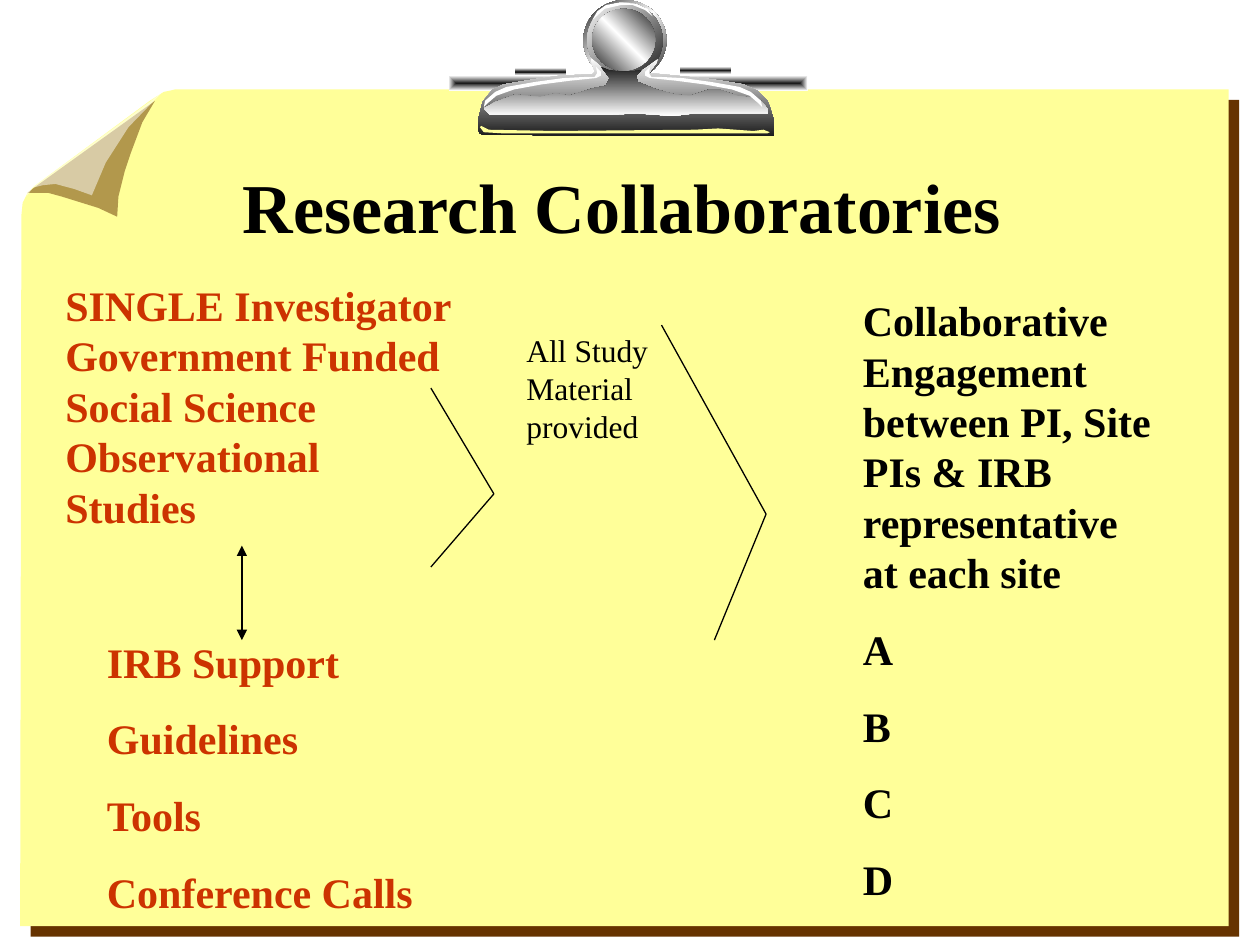
from dataclasses import dataclass

from lxml import etree
from pptx import Presentation
from pptx.dml.color import RGBColor
from pptx.enum.shapes import MSO_CONNECTOR, MSO_SHAPE
from pptx.enum.text import MSO_ANCHOR, PP_ALIGN
from pptx.oxml import parse_xml
from pptx.oxml.ns import nsdecls, qn
from pptx.util import Inches, Pt

LINE = MSO_CONNECTOR.STRAIGHT
RECT, OVAL = MSO_SHAPE.RECTANGLE, MSO_SHAPE.OVAL
TOP = MSO_ANCHOR.TOP
LEFT, MID = PP_ALIGN.LEFT, PP_ALIGN.CENTER


@dataclass(frozen=True)
class Theme:
    font: str = "Times New Roman"
    ink: str = "000000"
    red: str = "CC3300"
    paper: str = "FFFF99"
    brown: str = "663300"
    white: str = "FFFFFF"
    steel: str = "1C1C1C"
    title: int = 40
    body: int = 24
    note: int = 18
    rule: float = 0.75
    pitch: float = 1.2


T = Theme()
DOWN = (T.white, T.steel)
RISE = (T.steel, T.white)
BAND = (T.white, T.steel, T.white)
GLOW = (T.steel, T.white, T.steel)

SHEET = [(1.19, .01), (1.23, 0), (9.59, 0), (9.59, 6.64), (0, 6.64), (.01, 1),
         (.02, .9), (.06, .82), (.11, .77), (1.03, .09), (1.14, .02)]
CURL = [(.33, .85), (.62, .94), (.77, 1.01), (.78, .85), (.83, .65), (.88, .5),
        (.97, .26), (1.07, .09), (.11, .78), (.06, .82), (.22, .82)]
FOLD = [(.05, .85), (.07, .8), (.15, .74), (1.12, .03), (.86, .3), (.68, .58),
        (.57, .84), (.43, .79), (.28, .75), (.18, .76), (.1, .78)]
GLINT = [(1.62, .13), (1.58, .07), (1.49, .03), (1.36, .02), (1.25, .04), (1.18, .09),
         (1.14, .16), (1.24, .07), (1.37, .04), (1.46, .04), (1.56, .08)]
JAW = [(.25, 1.06), (.28, 1.07), (2.58, 1.08), (2.58, .95), (2.55, .85), (2.53, .8),
       (2.45, .72), (2.34, .67), (2.09, .63), (1.8, .6), (1.59, .58), (1.65, .5),
       (1.66, .47), (1.58, .53), (1.52, .57), (1.47, .59), (1.38, .59), (1.29, .58),
       (1.22, .54), (1.13, .46), (1.14, .51), (1.16, .57), (1.14, .59), (.89, .6),
       (.68, .63), (.44, .67), (.35, .71), (.27, .81), (.24, .93), (.23, 1.02)]
SHINE = [(.28, .85), (.29, .8), (.37, .73), (.46, .69), (.69, .65), (.91, .62),
         (1.1, .61), (1.16, .61), (1.18, .58), (1.17, .53), (1.21, .57), (1.21, .6),
         (1.17, .62), (.97, .64), (.74, .67), (.52, .71), (.38, .76), (.31, .82)]
FOOT = [(.26, 1), (.25, 1.01), (.28, 1.05), (.45, 1.06), (2.53, 1.06), (2.55, 1.05),
        (2.5, 1.03), (2.42, 1.04), (2.14, 1.02), (1.95, 1.03), (.84, 1.04), (.32, 1.03)]
SHADE = [(.45, .78), (.37, .81), (.28, .86), (.33, .91), (.58, .91), (1.28, .91),
         (1.5, .9), (1.78, .92), (1.95, .9), (2.54, .9), (2.53, .86), (2.48, .8),
         (2.44, .78), (2.29, .76), (2.15, .71), (2.07, .71), (1.92, .76), (1.8, .75),
         (1.65, .71), (1.5, .65), (1.49, .6), (1.53, .56), (1.4, .57), (1.28, .56),
         (1.21, .53), (1.28, .62), (1.25, .68), (1.15, .7), (.96, .76), (.85, .74),
         (.73, .77), (.53, .75)]


def paint(shape, fill, alpha=None):
    shape.shadow.inherit = False
    shape.line.fill.background()
    shape.fill.solid()
    shape.fill.fore_color.rgb = RGBColor.from_string(fill)
    if alpha:
        tint = shape._element.spPr.find(qn("a:solidFill"))[0]
        etree.SubElement(tint, qn("a:alpha"), val=str(alpha * 1000))


def blend(shape, tones, angle=None):
    paint(shape, tones[0])
    step = 100000 // (len(tones) - 1)
    stops = "".join(f'<a:gs pos="{i * step}"><a:srgbClr val="{tone}"/></a:gs>'
                    for i, tone in enumerate(tones))
    if angle is None:
        way = '<a:path path="rect"><a:fillToRect l="50000" t="50000" r="50000" b="50000"/></a:path>'
    else:
        way = f'<a:lin ang="{angle * 60000}" scaled="0"/>'
    grad = parse_xml(f'<a:gradFill {nsdecls("a")} rotWithShape="1">'
                     f"<a:gsLst>{stops}</a:gsLst>{way}</a:gradFill>")
    props = shape._element.spPr
    props.replace(props.find(qn("a:solidFill")), grad)


def trace(slide, box, points):
    left, top = box[:2]
    spots = [(Inches(left + x), Inches(top + y)) for x, y in points]
    pen = slide.shapes.build_freeform(*spots[0], scale=1.0)
    pen.add_line_segments(spots[1:], close=True)
    return pen.convert_to_shape()


def write(slide, box, text, size=T.body, color=T.ink, bold=True, align=LEFT, gap=0):
    frame = slide.shapes.add_textbox(*map(Inches, box)).text_frame
    frame.word_wrap = True
    frame.vertical_anchor = TOP
    for i, part in enumerate(text.split("\n")):
        para = frame.paragraphs[0] if i == 0 else frame.add_paragraph()
        para.text = part
        para.alignment = align
        para.line_spacing = Pt(size * T.pitch)
        para.space_before = Pt(gap if i else 0)
        font = para.font
        font.name, font.size, font.bold = T.font, Pt(size), bold
        font.color.rgb = RGBColor.from_string(color)


def draw(slide, start, end, heads=False):
    link = slide.shapes.add_connector(LINE, *map(Inches, (*start, *end)))
    link.line.width = Pt(T.rule)
    link.line.color.rgb = RGBColor.from_string(T.ink)
    props = link._element.spPr
    if heads:
        for tag in ("a:headEnd", "a:tailEnd"):
            etree.SubElement(props.find(qn("a:ln")), qn(tag), type="triangle")
    etree.SubElement(props, qn("a:effectLst"))


def add_paper(slide, box):
    sheet = trace(slide, box, SHEET)
    paint(sheet, T.paper)
    glow = sheet._element.spPr.find(qn("a:effectLst"))
    cast = etree.SubElement(glow, qn("a:outerShdw"), blurRad="0", dist=str(Pt(8.5)),
                            dir="2700000", algn="ctr", rotWithShape="0")
    etree.SubElement(cast, qn("a:srgbClr"), val=T.brown)
    paint(trace(slide, box, CURL), T.brown, alpha=50)
    paint(trace(slide, box, FOLD), T.white, alpha=50)


def add_clip(slide, box):
    left, top, wide = box[:3]

    def part(kind, x, y, w, h, tones, angle=None):
        spot = map(Inches, (left + x, top + y, w, h))
        blend(slide.shapes.add_shape(kind, *spot), tones, angle)

    part(RECT, 0, .6, wide, .12, RISE)
    part(RECT, .53, .54, .4, .06, BAND, 90)
    part(RECT, 1.84, .53, .4, .06, BAND, 90)
    part(OVAL, 1.07, 0, .66, .64, GLOW, 225)
    part(OVAL, 1.1, .02, .6, .6, RISE, 225)
    paint(trace(slide, box, GLINT), T.white)
    part(OVAL, 1.14, .07, .5, .49, GLOW, 135)
    blend(trace(slide, box, JAW), DOWN, 90)
    paint(trace(slide, box, SHINE), T.white)
    paint(trace(slide, box, FOOT), T.paper)
    blend(trace(slide, box, SHADE), RISE, 90)
    paint(trace(slide, box, [(2.77 - x, y) for x, y in SHINE]), T.white)


def add_wedge(slide, box, tip, foot):
    left, top, wide, high = box
    point = (left + wide, top + tip)
    draw(slide, (left, top), point)
    draw(slide, point, (left + foot, top + high))


def add_flow(slide, box):
    left, top = box[:2]
    write(slide, (left, top, 3.35, 2.1),
          "SINGLE Investigator\nGovernment Funded\nSocial Science\nObservational\nStudies",
          color=T.red)
    draw(slide, (left + 1.5, top + 2.16), (left + 1.5, top + 2.91), heads=True)
    write(slide, (left + .33, top + 2.83, 4.25, 2.33),
          "IRB Support\nGuidelines\nTools\nConference Calls", color=T.red, gap=15)
    add_wedge(slide, (left + 3, top + .91, .5, 1.42), .84, 0)
    write(slide, (left + 3.66, top + .41, 1.75, 1), "All Study Material provided",
          size=T.note, bold=False)
    add_wedge(slide, (left + 4.83, top + .41, .83, 2.5), 1.5, .42)
    write(slide, (left + 6.33, top + .12, 2.55, 4.9),
          "Collaborative Engagement between PI, Site PIs & IRB representative at each site"
          "\nA\nB\nC\nD", gap=15)


def main():
    deck = Presentation()
    deck.slide_width, deck.slide_height = Inches(10), Inches(7.5)
    slide = deck.slides.add_slide(deck.slide_layouts[6])
    add_paper(slide, (.16, .71, 9.59, 6.64))
    add_clip(slide, (3.56, 0, 2.85, 1.08))
    write(slide, (.52, 1.25, 8.83, .8), "Research Collaboratories", size=T.title, align=MID)
    add_flow(slide, (.42, 2.17, 8.91, 5.16))
    deck.save("out.pptx")


if __name__ == "__main__":
    main()
